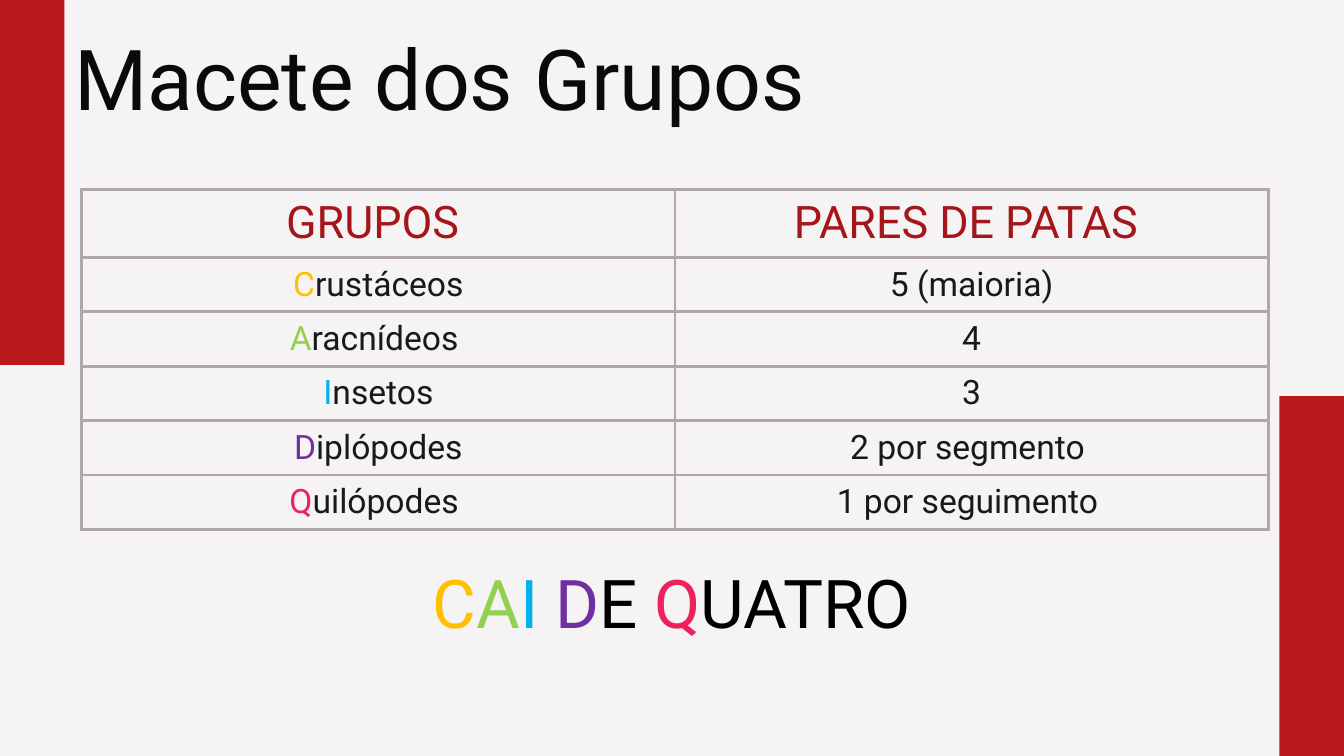
from lxml.etree import SubElement as Sub
from pptx import Presentation
from pptx.dml.color import RGBColor as Rgb
from pptx.enum.shapes import MSO_SHAPE as Form
from pptx.enum.text import MSO_ANCHOR as Anchor, MSO_AUTO_SIZE as Fit, PP_ALIGN as Align
from pptx.oxml.ns import qn
from pptx.util import Inches, Pt

HUES = {
    "back": "F5F3F4", "band": "BA181B", "title": "0B090A", "head": "A4161A",
    "text": "161A1D", "line": "B1A7A6", "black": "000000",
    "C": "FFC000", "A": "92D050", "I": "00B0F0", "D": "7030A0", "Q": "EF215C",
}
GROUPS = [
    ("Crustáceos", "5 (maioria)"),
    ("Aracnídeos ", "4"),
    ("Insetos", "3"),
    ("Diplópodes", "2 por segmento "),
    ("Quilópodes ", "1 por seguimento "),
]


class Deck:
    """Holds the style and the current slide."""

    def __init__(self):
        self.font = "Roboto"
        self.show = Presentation()
        self.show.slide_width = Inches(13.33)
        self.show.slide_height = Inches(7.5)
        self.slide = self.show.slides.add_slide(self.show.slide_layouts[6])
        self.paint(self.slide.background.fill, "back")

    def paint(self, fill, hue):
        fill.solid()
        fill.fore_color.rgb = Rgb.from_string(HUES[hue])

    def letter(self, frame, runs, size, align):
        par = frame.paragraphs[0]
        par.alignment = align
        for words, hue in runs:
            run = par.add_run()
            run.text = words
            for key, value in {"name": self.font, "size": Pt(size)}.items():
                setattr(run.font, key, value)
            run.font.color.rgb = Rgb.from_string(HUES[hue])

    def band(self, *box):
        rect = self.slide.shapes.add_shape(Form.RECTANGLE, *map(Inches, box))
        rect.shadow.inherit = False
        self.paint(rect.fill, "band")
        rect.line.fill.background()

    def label(self, box, runs, size, align):
        frame = self.slide.shapes.add_textbox(*map(Inches, box)).text_frame
        for key, value in {"word_wrap": True, "auto_size": Fit.SHAPE_TO_FIT_TEXT}.items():
            setattr(frame, key, value)
        self.letter(frame, runs, size, align)

    def cell(self, cell, runs, size):
        style = {
            "vertical_anchor": Anchor.MIDDLE,
            "margin_left": Inches(0.13), "margin_right": Inches(0.13),
            "margin_top": Inches(0.07), "margin_bottom": Inches(0.07),
        }
        for key, value in style.items():
            setattr(cell, key, value)
        props = cell._tc.get_or_add_tcPr()
        for side in "LRTB":
            edge = Sub(props, qn(f"a:ln{side}"), w=str(Pt(2.25)))
            Sub(Sub(edge, qn("a:solidFill")), qn("a:srgbClr"), val=HUES["line"])
        cell.fill.background()
        self.letter(cell.text_frame, runs, size, Align.CENTER)

    def table(self, box, rows, highs):
        shape = self.slide.shapes.add_table(len(rows), len(rows[0][0]), *map(Inches, box))
        grid = shape.table
        for key in ("first_row", "horz_banding"):
            setattr(grid, key, False)
        for r, (row, size) in enumerate(rows):
            grid.rows[r].height = Inches(highs[r])
            for c, runs in enumerate(row):
                self.cell(grid.cell(r, c), runs, size)


def main():
    deck = Deck()
    deck.band(0, 0, 0.64, 3.62)
    deck.band(12.69, 3.93, 0.64, 3.62)
    deck.label((0.64, 0.21, 9.2, 1.11), [("Macete dos Grupos", "title")], 60, Align.LEFT)
    rows = [([[("GRUPOS ", "head")], [("PARES DE PATAS ", "head")]], 32)]
    for name, legs in GROUPS:
        first = name[0]
        rows.append(([[(first, first), (name[1:], "text")], [(legs, "text")]], 24))
    deck.table((0.81, 1.88, 11.77, 3.35), rows, [0.66] + [0.54] * len(GROUPS))
    phrase = [("C", "C"), ("A", "A"), ("I ", "I"), ("D", "D"),
              ("E ", "black"), ("Q", "Q"), ("UATRO", "black")]
    deck.label((3.99, 5.52, 5.35, 1.21), phrase, 48, Align.CENTER)
    deck.show.save("out.pptx")


if __name__ == "__main__":
    main()
